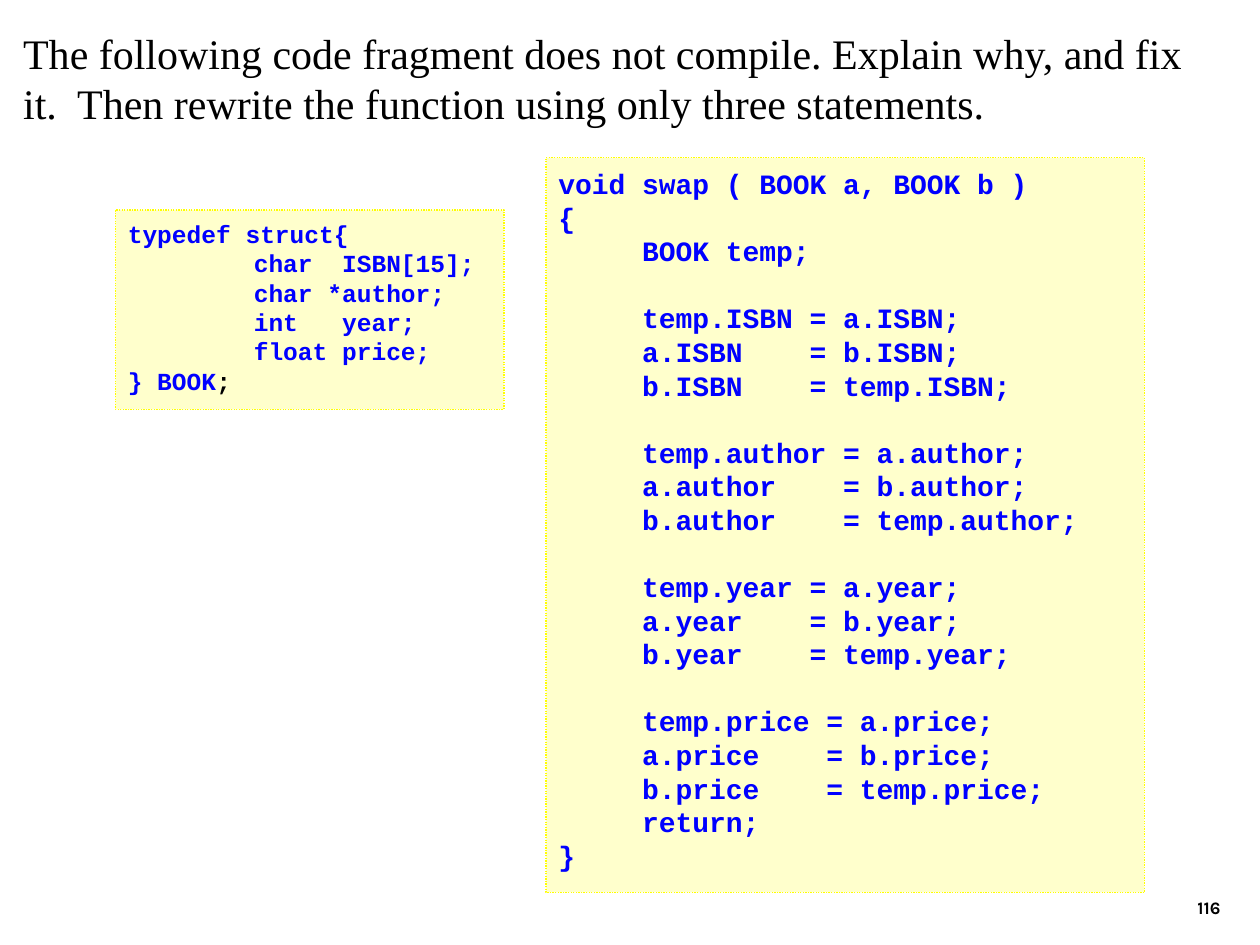
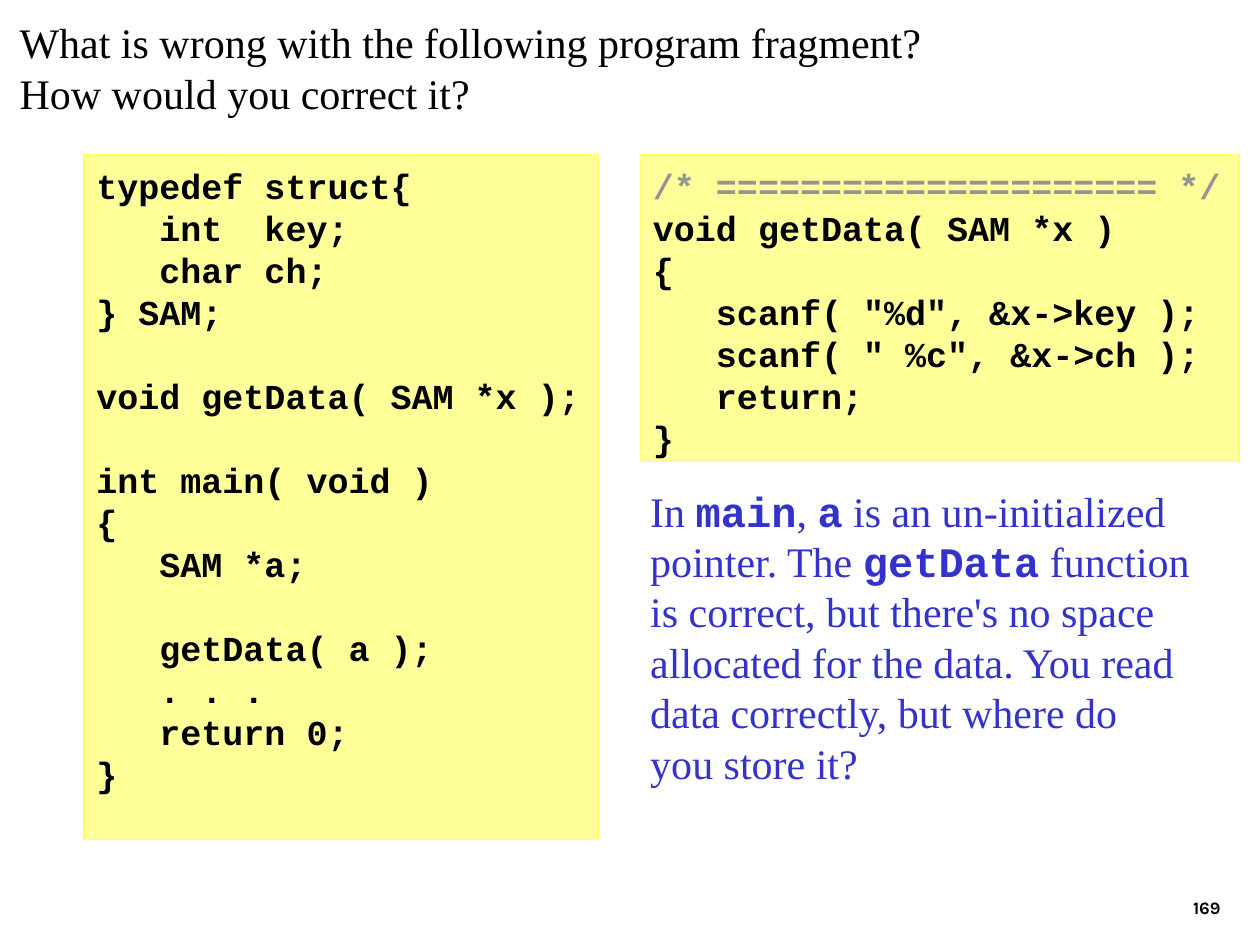
from dataclasses import dataclass

from lxml import etree
from pptx import Presentation
from pptx.dml.color import RGBColor
from pptx.enum.dml import MSO_LINE
from pptx.enum.shapes import MSO_SHAPE
from pptx.enum.text import MSO_ANCHOR, MSO_AUTO_SIZE, PP_ALIGN
from pptx.oxml.ns import qn
from pptx.util import Pt

RECT = MSO_SHAPE.RECTANGLE
DOTTED = MSO_LINE.ROUND_DOT
TOP, BOTTOM = MSO_ANCHOR.TOP, MSO_ANCHOR.BOTTOM
LEFT, RIGHT = PP_ALIGN.LEFT, PP_ALIGN.RIGHT
NO_FIT = MSO_AUTO_SIZE.NONE


@dataclass(frozen=True)
class Theme:
    serif: str = "Times New Roman"
    mono: str = "Courier New"
    footer: str = "Karla"
    black: str = "000000"
    code_blue: str = "0000FF"
    answer_blue: str = "3333CC"
    grey: str = "949494"
    body_size: int = 24
    footer_size: int = 10
    leading: float = 1.2
    mono_drop: float = 0.1
    code_tab: int = 72


T = Theme()
PALE = dict(fill="FFFFCC", line="FFFF00", dash=DOTTED)
STRONG = dict(fill="FFFF99", line="FFFF66", dash=None)
INLINE_CODE = dict(font=T.mono, bold=True)

# Content: a line is a string or a list of (text, format) runs
BOOK_STRUCT = [
    "typedef struct{",
    "\tchar  ISBN[15];",
    "\tchar *author;",
    "\tint   year;",
    "\tfloat price;",
    [("} BOOK", {}), (";", dict(color=T.black))],
]

SWAP_FUNCTION = """\
void swap ( BOOK a, BOOK b )
{
     BOOK temp;

     temp.ISBN = a.ISBN;
     a.ISBN    = b.ISBN;
     b.ISBN    = temp.ISBN;

     temp.author = a.author;
     a.author    = b.author;
     b.author    = temp.author;

     temp.year = a.year;
     a.year    = b.year;
     b.year    = temp.year;

     temp.price = a.price;
     a.price    = b.price;
     b.price    = temp.price;
     return;
}""".splitlines()

SAM_PROGRAM = """\
typedef struct{
   int  key;
   char ch;
} SAM;

void getData( SAM *x );

int main( void )
{
   SAM *a;

   getData( a );
   . . .
   return 0;
}""".splitlines()

GET_DATA = [
    [("/* ===================== */", dict(color=T.grey))],
    "void getData( SAM *x )",
    "{",
    '   scanf( "%d", &x->key );',
    '   scanf( " %c", &x->ch );',
    "   return;",
    "}",
]

ANSWER = [
    [("In ", {}), ("main", INLINE_CODE), (", ", {}), ("a", INLINE_CODE),
     (" is an un-initialized", {})],
    [("pointer. The ", {}), ("getData", INLINE_CODE), (" function", {})],
    "is correct, but there's no space",
    "allocated for the data. You read",
    "data correctly, but where do",
    "you store it?",
]

# Boxes are left, top, width, height in points
SLIDES = [
    dict(
        number="116",
        title=["The following code fragment does not compile. Explain why, and fix",
               "it.  Then rewrite the function using only three statements."],
        title_box=(6, 12, 702, 65),
        code=[
            dict(lines=BOOK_STRUCT, box=(66, 120, 222, 114), size=14,
                 color=T.code_blue, look=PALE),
            dict(lines=SWAP_FUNCTION, box=(312, 90, 342, 420), size=16,
                 color=T.code_blue, look=PALE),
        ],
    ),
    dict(
        number="169",
        title=["What is wrong with the following program fragment?",
               "How would you correct it?"],
        title_box=(4, 6, 608, 65),
        code=[
            dict(lines=SAM_PROGRAM, box=(48, 88.3, 294, 391.5), size=20,
                 color=T.black, look=STRONG),
            dict(lines=GET_DATA, box=(366, 88.3, 342, 175.5), size=20,
                 color=T.black, look=STRONG),
        ],
        answer=ANSWER,
        answer_box=(364.5, 273.7, 340, 180),
    ),
]
NUMBER_BOX = (554.5, 492, 150, 36)


def write(tf, lines, size, font=T.serif, color=T.black, bold=False,
          align=LEFT, anchor=TOP, tab=None):
    """Fill a text frame; an empty line becomes space before the next one."""
    tf.word_wrap = True
    tf.auto_size = NO_FIT
    tf.vertical_anchor = anchor
    tf.margin_left = tf.margin_right = Pt(7.2)
    tf.margin_bottom = Pt(3.6)
    tf.margin_top = Pt(3.6 + (T.mono_drop * size if font == T.mono else 0))
    pitch = T.leading * size
    p, gap = None, 0
    for line in lines:
        if not line:
            gap += pitch
            continue
        p = tf.add_paragraph() if p else tf.paragraphs[0]
        p.alignment = align
        p.line_spacing = Pt(pitch)
        p.space_before, gap = Pt(gap), 0
        if tab:
            tabs = etree.SubElement(p._p.get_or_add_pPr(), qn("a:tabLst"))
            etree.SubElement(tabs, qn("a:tab"), pos=str(Pt(tab)), algn="l")
        for text, own in [(line, {})] if isinstance(line, str) else line:
            look = dict(font=font, color=color, bold=bold) | own
            r = p.add_run()
            r.text = text
            r.font.size = Pt(size)
            r.font.name = look["font"]
            r.font.bold = look["bold"]
            r.font.color.rgb = RGBColor.from_string(look["color"])


def add_text(slide, box, lines, size, **fmt):
    sp = slide.shapes.add_textbox(*map(Pt, box))
    write(sp.text_frame, lines, size, **fmt)


def add_code(slide, lines, box, size, color, look):
    sp = slide.shapes.add_shape(RECT, *map(Pt, box))
    sp.shadow.inherit = False
    sp.fill.solid()
    sp.fill.fore_color.rgb = RGBColor.from_string(look["fill"])
    sp.line.color.rgb = RGBColor.from_string(look["line"])
    sp.line.width = Pt(0.75)
    if look["dash"]:
        sp.line.dash_style = look["dash"]
    write(sp.text_frame, lines, size, font=T.mono, color=color, bold=True,
          tab=T.code_tab)


def add_title(slide, lines, box):
    sp = slide.shapes.title
    sp.left, sp.top, sp.width, sp.height = map(Pt, box)
    write(sp.text_frame, lines, T.body_size)


def main():
    prs = Presentation()
    prs.slide_width, prs.slide_height = Pt(720), Pt(540)
    title_only = prs.slide_layouts.get_by_name("Title Only")
    for page in SLIDES:
        slide = prs.slides.add_slide(title_only)
        add_title(slide, page["title"], page["title_box"])
        for block in page["code"]:
            add_code(slide, **block)
        if "answer" in page:
            add_text(slide, page["answer_box"], page["answer"], T.body_size,
                     color=T.answer_blue)
        # Page number
        add_text(slide, NUMBER_BOX, [page["number"]], T.footer_size,
                 font=T.footer, bold=True, align=RIGHT, anchor=BOTTOM)
    prs.save("out.pptx")


if __name__ == "__main__":
    main()
